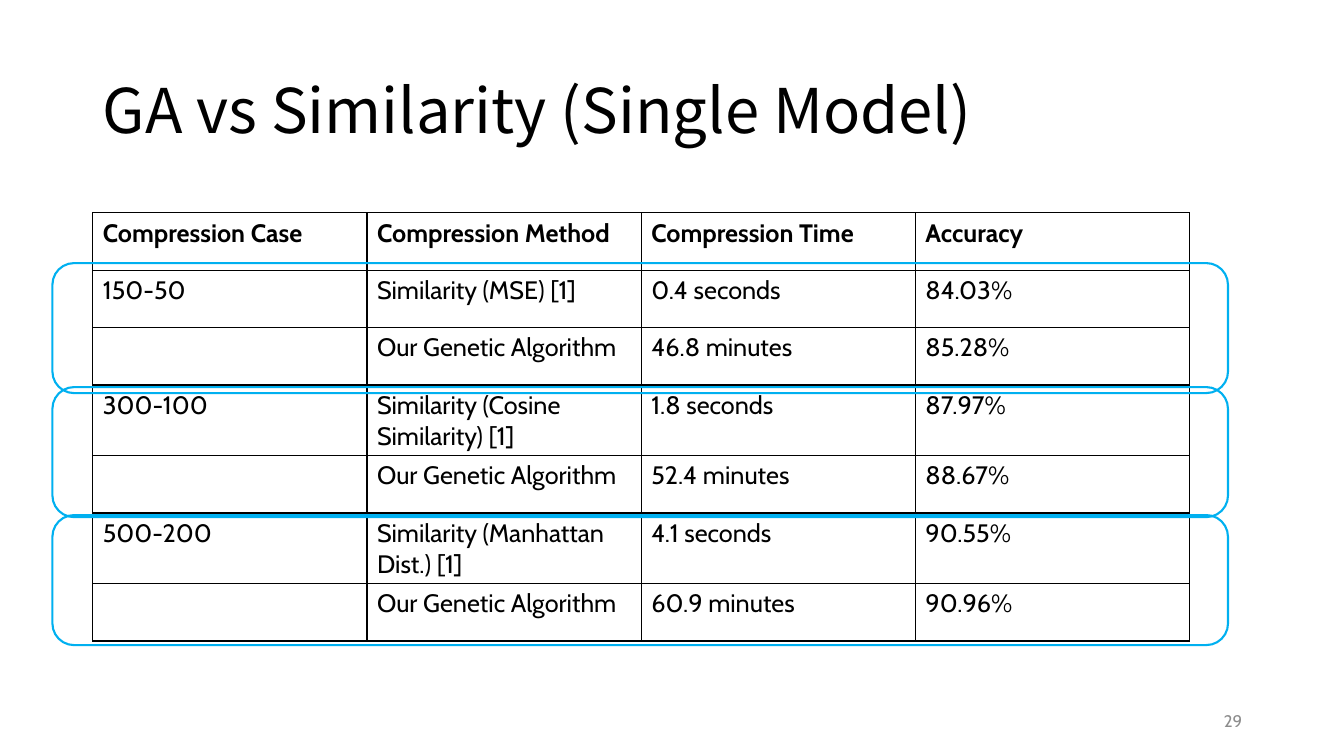
import pptx
import pptx.util
import pptx.dml.color
import pptx.enum.shapes
import pptx.enum.text
import pptx.oxml

WIDE, HIGH = 13.33, 7.5
LEFT, TOP = 0.92, 2.11
COL, ROW = 2.72, 0.57
HEX = {"ink": "000000", "page": "8C8C8C", "ring": "00B0F0"}
HEAD_FONT, BODY_FONT = "Noto Sans CJK JP", "Cabin"
GA = "Our Genetic Algorithm"
ROWS = [
    ("Compression Case", "Compression Method", "Compression Time", "Accuracy"),
    ("150-50", "Similarity (MSE) [1]", "0.4 seconds", "84.03%"),
    ("", GA, "46.8 minutes", "85.28%"),
    ("300-100", "Similarity (Cosine Similarity) [1]", "1.8 seconds", "87.97%"),
    ("", GA, "52.4 minutes", "88.67%"),
    ("500-200", "Similarity (Manhattan Dist.) [1]", "4.1 seconds", "90.55%"),
    ("", GA, "60.9 minutes", "90.96%"),
]
RING_TOPS = (2.61, 3.84, 5.11)
ALIGN = pptx.enum.text.PP_ALIGN
MIDDLE = pptx.enum.text.MSO_ANCHOR.MIDDLE


def tint(name):
    return pptx.dml.color.RGBColor.from_string(HEX[name])


def box(*lengths):
    return [pptx.util.Inches(x) for x in lengths]


def write(para, text, size, face=BODY_FONT, hue="ink", bold=False):
    run = para.add_run()
    run.text = text
    font = run.font
    font.size, font.name, font.bold = pptx.util.Pt(size), face, bold
    font.color.rgb = tint(hue)


def add_title(slide, text):
    title = slide.shapes.title
    title.left, title.top, title.width, title.height = box(LEFT, 0.4, 11.5, 1.45)
    frame = title.text_frame
    frame.auto_size = pptx.enum.text.MSO_AUTO_SIZE.NONE
    frame.vertical_anchor = MIDDLE
    para = frame.paragraphs[0]
    para.alignment, para.line_spacing = ALIGN.LEFT, 0.9
    write(para, text, 44, HEAD_FONT)


def add_page(slide, text):
    frame = slide.shapes.add_textbox(*box(9.42, 6.95, 3, 0.4)).text_frame
    frame.word_wrap = True
    frame.vertical_anchor = MIDDLE
    para = frame.paragraphs[0]
    para.alignment = ALIGN.RIGHT
    write(para, text, 12, hue="page")


def frame_cell(cell):
    """Draw a thin line on all four sides of a cell with no fill."""
    cell.fill.background()
    props = cell.fill._xPr
    for spot, side in enumerate(("lnL", "lnR", "lnT", "lnB")):
        props.insert(spot, pptx.oxml.parse_xml(
            f'<a:{side} xmlns:a="http://schemas.openxmlformats.org/drawingml/2006/main"'
            f' w="{pptx.util.Pt(1)}"><a:solidFill><a:srgbClr val="{HEX["ink"]}"/>'
            f'</a:solidFill></a:{side}>'))


def add_grid(slide, rows):
    wide, high = len(rows[0]), len(rows)
    table = slide.shapes.add_table(
        high, wide, *box(LEFT, TOP, wide * COL, high * ROW)).table
    table.first_row = table.horz_banding = False
    for r, row in enumerate(rows):
        for c, text in enumerate(row):
            cell = table.cell(r, c)
            frame_cell(cell)
            if text:
                write(cell.text_frame.paragraphs[0], text, 18, bold=r == 0)


def add_ring(slide, top):
    ring = slide.shapes.add_shape(
        pptx.enum.shapes.MSO_SHAPE.ROUNDED_RECTANGLE, *box(0.52, top, 11.66, 1.29))
    ring.shadow.inherit = False
    ring.fill.background()
    ring.line.color.rgb = tint("ring")
    ring.line.width = pptx.util.Pt(1.5)


def main():
    deck = pptx.Presentation()
    deck.slide_width, deck.slide_height = box(WIDE, HIGH)
    slide = deck.slides.add_slide(deck.slide_layouts.get_by_name("Title Only"))
    add_title(slide, "GA vs Similarity (Single Model)")
    add_page(slide, "29")
    add_grid(slide, ROWS)
    for top in RING_TOPS:
        add_ring(slide, top)
    deck.save("out.pptx")


if __name__ == "__main__":
    main()
